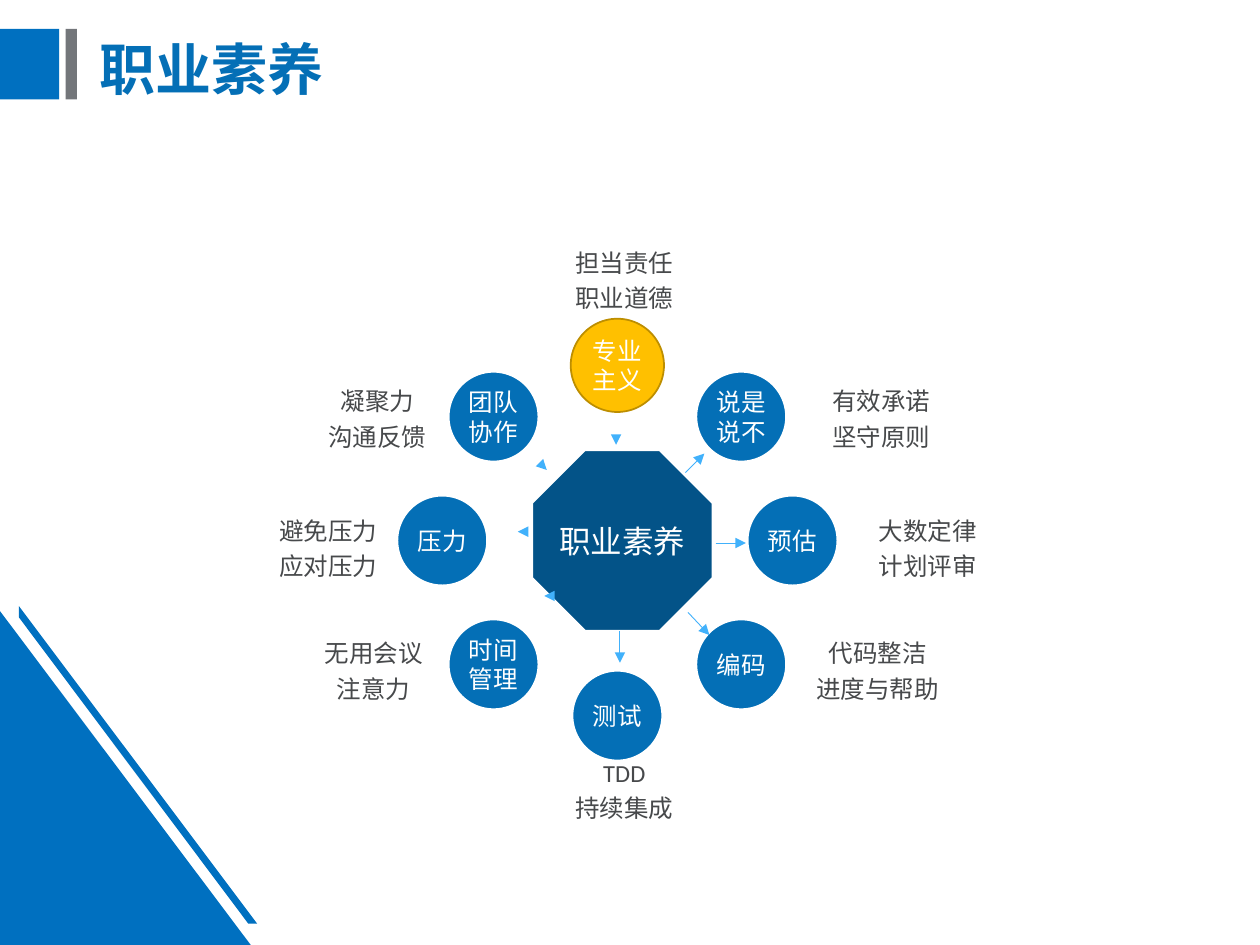
from math import cos, radians, sin

from lxml.etree import SubElement
from pptx import Presentation
from pptx.dml.color import RGBColor
from pptx.enum.shapes import MSO_CONNECTOR, MSO_SHAPE
from pptx.enum.text import MSO_ANCHOR, PP_ALIGN
from pptx.oxml.ns import qn
from pptx.util import Pt

PX = 9144
BRAND, BLUE, NAVY, SKY = "0070C0", "046FB6", "035388", "41B1FB"
GOLD, BRONZE, WHITE, GRAY, TEXT = "FFC000", "BD8E00", "FFFFFF", "73767A", "47494B"
TOP, MIDDLE, BOTTOM = MSO_ANCHOR.TOP, MSO_ANCHOR.MIDDLE, MSO_ANCHOR.BOTTOM

RADIUS, DISC = 139, 74
DISCS = [
    (135, ["时间管理"]), (180, ["压力"]), (225, ["团队协作"]),
    (315, ["说是", "说不"]), (45, ["编码"]), (90, ["测试"]),
    (0, ["预估"]), (270, ["专业主义"]),
]
ARROWS = [
    (368, 205, 383, 190), (392, 261, 416, 261), (370, 316, 387, 334),
    (316, 331, 316, 356), (257, 303, 256, 303), (236, 252, 235, 252),
    (255, 200, 258, 203), (313, 179, 313, 183),
]
LABELS = [
    (242, 0, BOTTOM, ["担当责任", "职业道德"]),
    (235, 422, TOP, ["TDD", "持续集成"]),
    (439, 119, MIDDLE, ["有效承诺", "坚守原则"]),
    (476, 222, MIDDLE, ["大数定律", "计划评审"]),
    (436, 319, MIDDLE, ["代码整洁", "进度与帮助"]),
    (39, 119, MIDDLE, ["凝聚力", "沟通反馈"]),
    (0, 222, MIDDLE, ["避免压力", "应对压力"]),
    (36, 319, MIDDLE, ["无用会议", "注意力"]),
]


def rgb(value):
    return RGBColor.from_string(value)


def paint(sp, fill, line=None, weight=3):
    sp.shadow.inherit = False
    sp.fill.solid()
    sp.fill.fore_color.rgb = rgb(fill)
    if line:
        sp.line.color.rgb = rgb(line)
        sp.line.width = Pt(weight)
    else:
        sp.line.fill.background()


def add_shape(s, kind, x, y, w, h, *style):
    sp = s.shapes.add_shape(kind, *(round(v * PX) for v in (x, y, w, h)))
    paint(sp, *style)
    return sp


def write(sp, lines, size, color, anchor=MIDDLE, align=PP_ALIGN.CENTER,
          spacing=None, font="Calibri", bold=False):
    tf = sp.text_frame
    tf.word_wrap = True
    tf.vertical_anchor = anchor
    tf.text = "\n".join(lines)
    for p in tf.paragraphs:
        p.alignment = align
        p.line_spacing = spacing
        p.font.name = font
        p.font.size = Pt(size)
        p.font.bold = bold
        p.font.color.rgb = rgb(color)


def add_node(s, kind, x, y, size, lines, points, *style):
    sp = add_shape(s, kind, x, y, size, size, *style)
    tf = sp.text_frame
    tf.margin_left = tf.margin_right = tf.margin_top = tf.margin_bottom = 0
    write(sp, lines, points, WHITE)


def add_arrow(s, x1, y1, x2, y2):
    c = s.shapes.add_connector(MSO_CONNECTOR.STRAIGHT, *(v * PX for v in (x1, y1, x2, y2)))
    c.line.color.rgb = rgb(SKY)
    c.line.width = Pt(0.5)
    SubElement(c.line._get_or_add_ln(), qn("a:tailEnd"), type="triangle")
    SubElement(c._element.spPr, qn("a:effectLst"))


def add_header(s, x, y, w, h):
    add_shape(s, MSO_SHAPE.RECTANGLE, x, y + 9, 47, 56, BRAND)
    add_shape(s, MSO_SHAPE.RECTANGLE, x + 52, y + 9, 9, 56, GRAY)
    title = s.shapes.title
    title.left, title.top = (x + 69) * PX, y * PX
    title.width, title.height = (w - 69) * PX, h * PX
    write(title, ["职业素养"], 32, BLUE, align=PP_ALIGN.LEFT, spacing=0.9,
          font="Noto Sans CJK SC", bold=True)


def add_corner(s, x, y, w, h):
    add_shape(s, MSO_SHAPE.RIGHT_TRIANGLE, x, y + 4, w - 5, h - 4, BRAND)
    fb = s.shapes.build_freeform(x + 15, y, scale=PX)
    fb.add_line_segments([(x + w, y + 252), (x + w - 7, y + 252), (x + 15, y + 9)])
    paint(fb.convert_to_shape(), BRAND)


def add_wheel(s, x, y):
    cx, cy = x + 314, y + 259
    add_node(s, MSO_SHAPE.OCTAGON, cx - 69, cy - 73, 146, ["职业素养"], 18, NAVY, WHITE)
    for angle, lines in DISCS:
        left = cx + RADIUS * cos(radians(angle)) - DISC / 2
        top = cy + RADIUS * sin(radians(angle)) - DISC / 2
        style = (GOLD, BRONZE, 1) if angle == 270 else (BLUE, WHITE)
        add_node(s, MSO_SHAPE.OVAL, left, top, DISC, lines, 14, *style)
    for x1, y1, x2, y2 in ARROWS:
        add_arrow(s, x + x1, y + y1, x + x2, y + y2)
    for dx, dy, anchor, lines in LABELS:
        w, h = (155, 83) if anchor == BOTTOM else (169, 82)
        sp = s.shapes.add_textbox((x + dx) * PX, (y + dy) * PX, w * PX, h * PX)
        write(sp, lines, 14, TEXT, anchor, spacing=1.2)


def main():
    prs = Presentation()
    prs.slide_width, prs.slide_height = 1000 * PX, 750 * PX
    s = prs.slides.add_slide(prs.slide_layouts[5])
    add_header(s, 0, 14, 920, 87)
    add_corner(s, 0, 481, 204, 269)
    add_wheel(s, 176, 170)
    prs.save("out.pptx")


if __name__ == "__main__":
    main()
